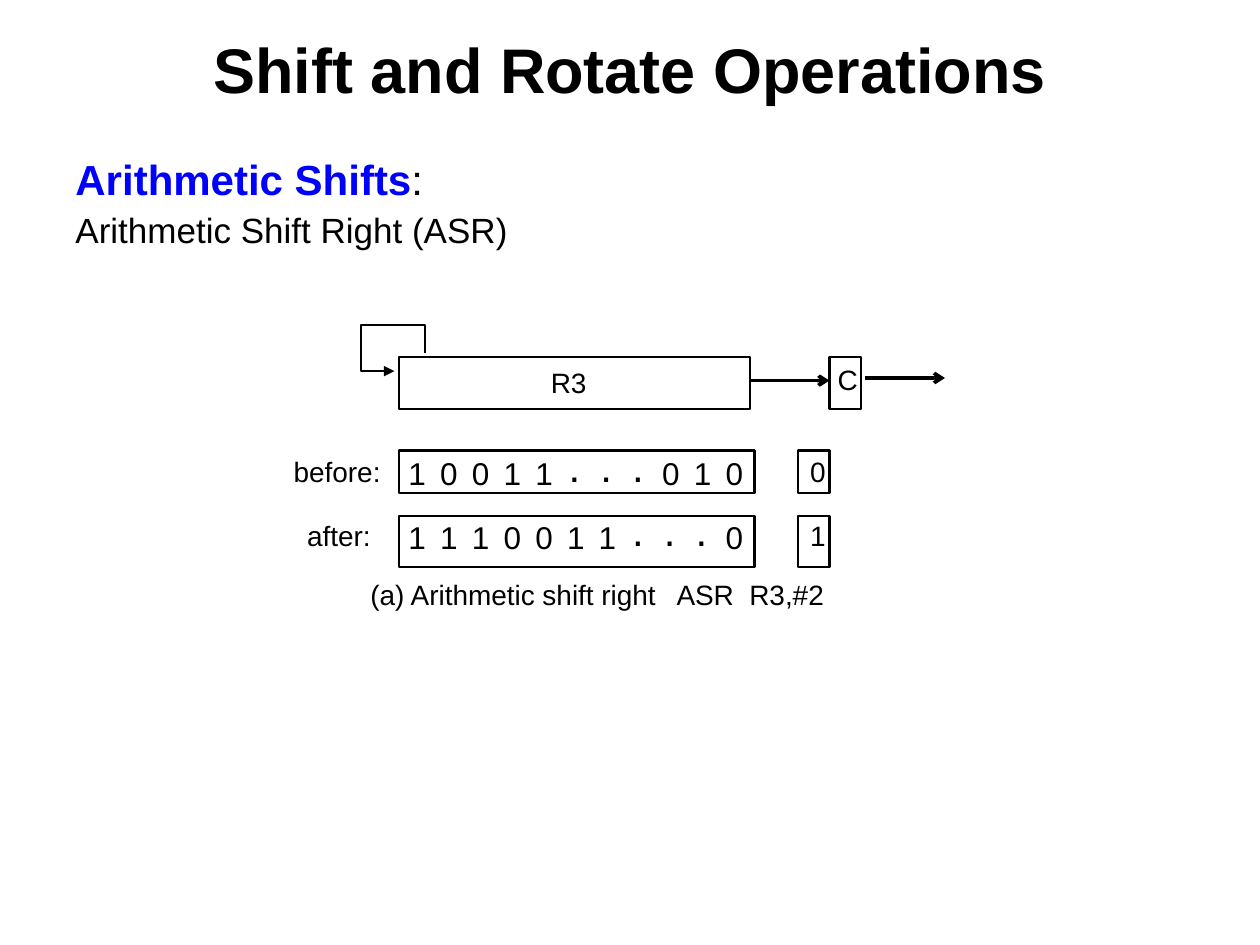
from pptx import Presentation
from pptx.util import Pt
from pptx.dml.color import RGBColor
from pptx.enum.shapes import MSO_SHAPE as Shape, MSO_CONNECTOR as Link
from pptx.enum.text import PP_ALIGN as Align, MSO_ANCHOR as Anchor, MSO_AUTO_SIZE as Fit
from pptx.oxml.ns import qn
from lxml.etree import SubElement as Sub

BLACK = RGBColor(0, 0, 0)
BLUE = RGBColor(0, 0, 255)
FONT = "Arial"

TITLE = "Shift and Rotate Operations"
# left, top, width, height
BOXES = [
    (228.2, 204, 200.6, 30),    # register R3
    (474, 204, 18, 30),         # carry C
    (228.2, 257.5, 203, 24.5),  # register before
    (455.8, 257.5, 18.2, 24.5),
    (228.2, 295, 203, 29),      # register after
    (455.8, 295, 18.2, 29),
]
# text, left, top, width
LABELS = [
    ("R3", 314.8, 209, 20.6),
    ("C", 478.6, 207, 11.6),
    ("before:", 167.8, 260, 50),
    ("after:", 175.5, 296.2, 36.5),
    ("0", 463, 260, 8.9),
    ("1", 463, 296.2, 8.9),
    ("(a) Arithmetic shift right", 211.7, 330, 165),
    ("ASR  R3,#2", 386.6, 330, 85),
]
# bits, top
ROWS = [("10011...010", 259.2), ("1110011...0", 295.9)]
BIT_X, BIT_STEP = 233.3, 18.14
# start x, end x, y
ARROWS = [(428.5, 474, 217.5), (494.5, 540, 216)]
LOOP = [(225.4, 212.1), (206.4, 212.1), (206.4, 185.8), (242.8, 185.8), (242.8, 202)]


def style(font, size, color=BLACK, bold=False):
    """Set the look of a font."""
    font.name, font.size, font.bold = FONT, Pt(size), bold
    font.color.rgb = color


def text(words, x, y, w, h, size, inset=True, wrap=False):
    """Add a text box and return its paragraph."""
    box = slide.shapes.add_textbox(Pt(x), Pt(y), Pt(w), Pt(h))
    frame = box.text_frame
    frame.word_wrap, frame.auto_size = wrap, Fit.SHAPE_TO_FIT_TEXT
    if not inset:
        frame.margin_left = frame.margin_right = 0
        frame.margin_top = frame.margin_bottom = 0
    para = frame.paragraphs[0]
    para.add_run().text = words
    style(para.font, size)
    return para


def outline(shape, width=1.25):
    """Give a shape a plain black line."""
    shape.line.color.rgb = BLACK
    shape.line.width = Pt(width)


def tip(shape, end, kind):
    """Put an arrowhead on one end of a line."""
    Sub(shape.line._get_or_add_ln(), qn("a:" + end), type=kind)


deck = Presentation()
deck.slide_width, deck.slide_height = Pt(720), Pt(540)
slide = deck.slides.add_slide(deck.slide_layouts[5])

title = slide.shapes.title
title.left, title.top, title.width, title.height = Pt(36), Pt(12), Pt(648), Pt(54)
title.text_frame.text = TITLE
title.text_frame.vertical_anchor = Anchor.MIDDLE
head = title.text_frame.paragraphs[0]
head.alignment = Align.CENTER
style(head.font, 36, bold=True)

topic = text("Arithmetic Shifts", 36, 84, 215.3, 36, 24)
style(topic.runs[0].font, 24, BLUE, True)
topic.add_run().text = ":"
text("Arithmetic Shift Right (ASR)", 36, 120, 660, 27.4, 20, wrap=True).line_spacing = 0.8

for x, y, w, h in BOXES:
    box = slide.shapes.add_shape(Shape.RECTANGLE, Pt(x), Pt(y), Pt(w), Pt(h))
    box.shadow.inherit = False
    box.fill.background()
    outline(box)

for words, x, y, w in LABELS:
    text(words, x, y, w, 19.4, 16, inset=False)

for bits, y in ROWS:
    for i, bit in enumerate(bits):
        x = BIT_X + i * BIT_STEP
        if bit == ".":
            text(bit, x + 0.9, y - 7.5, 6.6, 29, 24, inset=False)
        else:
            text(bit, x, y, 10, 21.8, 18, inset=False)

for x1, x2, y in ARROWS:
    arrow = slide.shapes.add_connector(Link.STRAIGHT, Pt(x1), Pt(y), Pt(x2), Pt(y))
    outline(arrow, 2)
    tip(arrow, "tailEnd", "arrow")
    Sub(arrow._element.spPr, qn("a:effectLst"))

path = [(Pt(x), Pt(y)) for x, y in LOOP]
pen = slide.shapes.build_freeform(*path[0])
pen.add_line_segments(path[1:], close=False)
loop = pen.convert_to_shape()
loop.shadow.inherit = False
loop.fill.background()
outline(loop)
tip(loop, "headEnd", "triangle")

deck.save("out.pptx")
